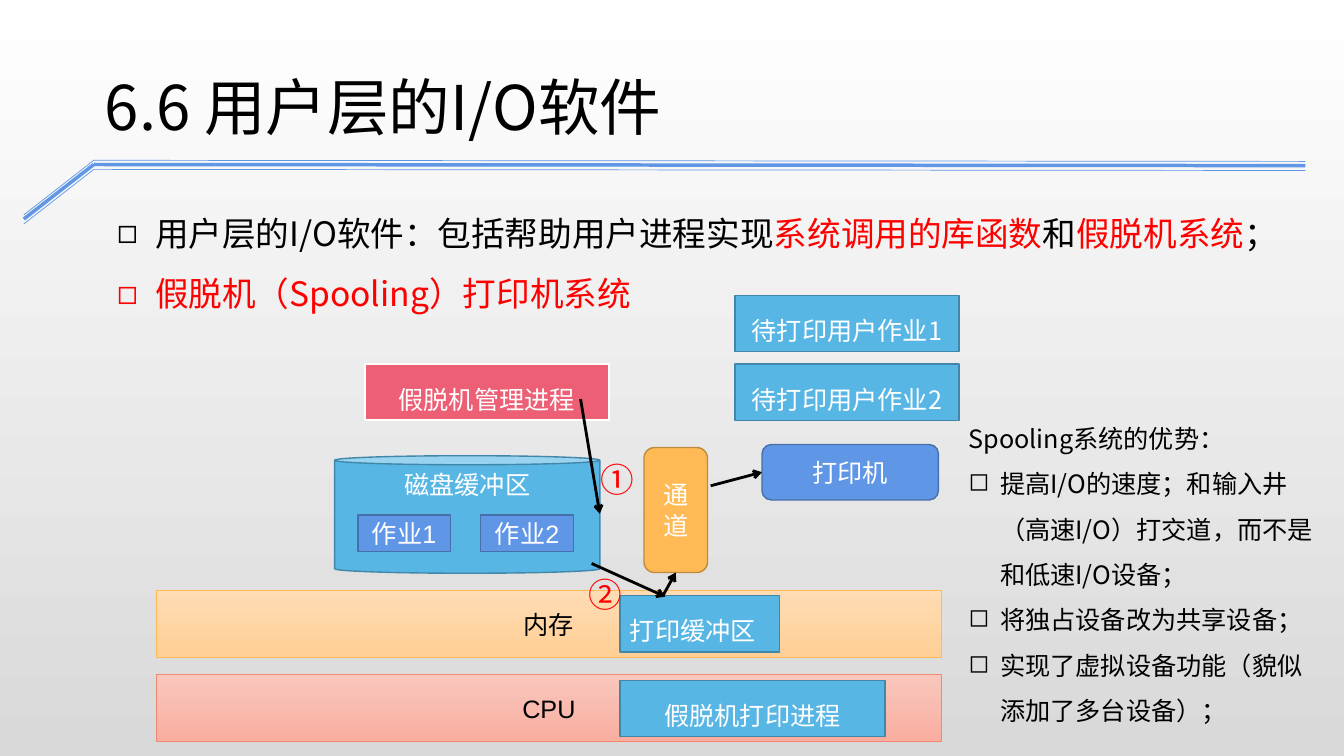
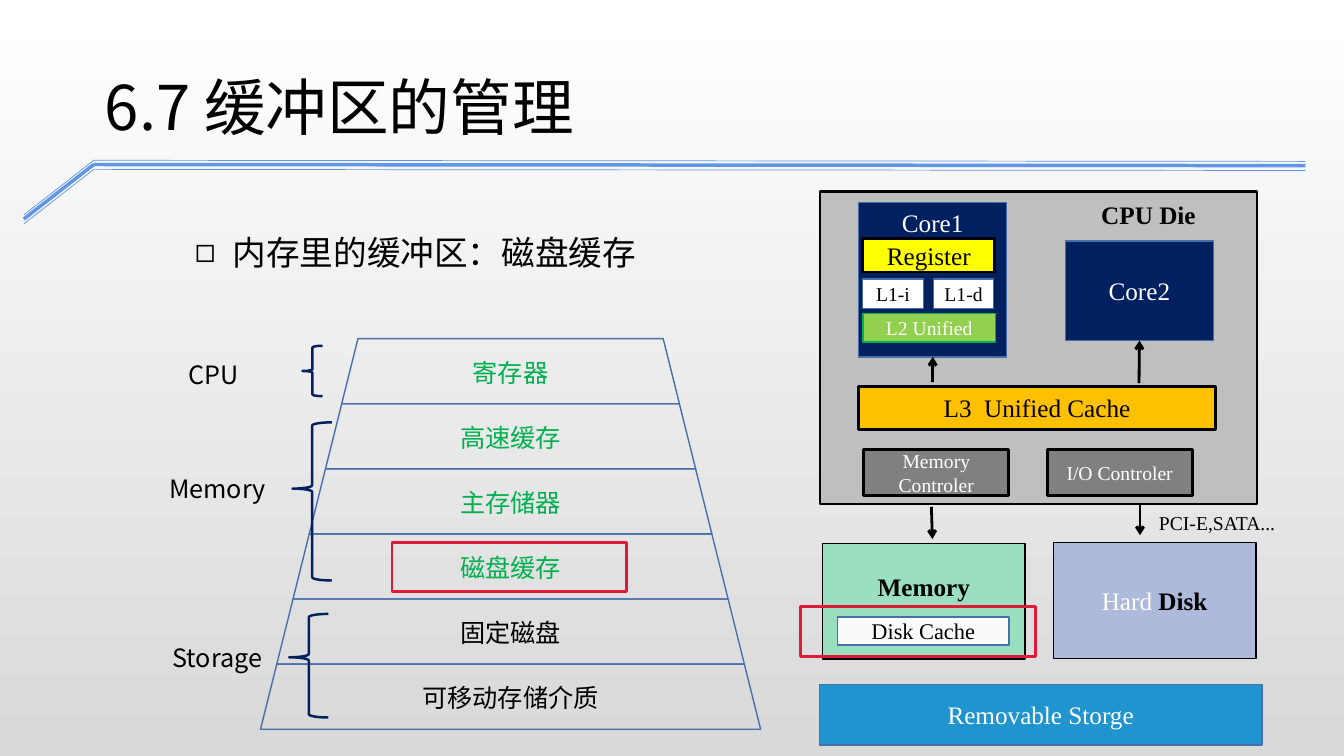
"""Build two slides on user-level I/O software and buffer management."""
from lxml.etree import SubElement
from pptx import Presentation
from pptx.dml.color import RGBColor
from pptx.enum.shapes import MSO_CONNECTOR, MSO_SHAPE
from pptx.enum.text import MSO_ANCHOR, MSO_AUTO_SIZE, PP_ALIGN
from pptx.oxml.ns import qn
from pptx.util import Pt

JP, SC, ARIAL, TIMES = "Noto Sans CJK JP", "Noto Sans CJK SC", "Arial", "Times New Roman"
BLACK, WHITE, RED, GREEN = "000000", "FFFFFF", "FF0000", "00B050"
BLUE, EDGE, NAVY, CRIMSON = "6096E6", "476FAA", "002060", "DE1A37"
RECT, ROUND = MSO_SHAPE.RECTANGLE, MSO_SHAPE.ROUNDED_RECTANGLE
TOP, MIDDLE = MSO_ANCHOR.TOP, MSO_ANCHOR.MIDDLE
LEFT, CENTER = PP_ALIGN.LEFT, PP_ALIGN.CENTER

BASE = {"shape": RECT, "fill": None, "line": EDGE, "weight": 1, "anchor": MIDDLE,
        "align": CENTER, "spacing": 1, "font": {"name": ARIAL, "size": 18, "color": WHITE}}
STYLES = {
    "sky": {"fill": "58B6E5", "line": "4187A9", "anchor": TOP, "spacing": 1.5,
            "font": {"name": SC}},
    "blue": {"fill": BLUE},
    "bar": {"weight": 0.5, "font": {"color": BLACK}},
    "mark": {"shape": None, "anchor": TOP, "align": LEFT, "spacing": 1.5,
             "font": {"name": JP, "size": 24, "color": RED}},
    "label": {"shape": None, "anchor": TOP, "align": LEFT, "font": {"name": JP, "color": BLACK}},
    "layer": {"shape": MSO_SHAPE.TRAPEZOID, "font": {"name": JP, "color": GREEN}},
    "brace": {"shape": MSO_SHAPE.LEFT_BRACE, "line": NAVY, "weight": 1.75},
    "chip": {"font": {"name": TIMES}},
    "small": {"font": {"name": TIMES, "size": 14}},
    "frame": {"line": CRIMSON, "weight": 2},
}

BAND_LINES = [(0, 0.5), (3, 2.5), (6.5, 0.5)]
BAND_POINTS = [(17, 153.5), (67, 114.5), (932.5, 115.3)]
TITLE_BOX = (67.7, 45.4, 685.4, 60.5)

ADVANTAGES = [
    "提高I/O的速度；和输入井（高速I/O）打交道，而不是和低速I/O设备；",
    "将独占设备改为共享设备；",
    "实现了虚拟设备功能（貌似添加了多台设备）；",
]
LAYERS = ["寄存器", "高速缓存", "主存储器", "磁盘缓存", "固定磁盘", "可移动存储介质"]
INK = {"name": TIMES, "color": BLACK}
BOLD = {**INK, "bold": True}
INK_SMALL = {**INK, "size": 14}

SPOOLING = {
    "title": "6.6 用户层的I/O软件",
    "body_box": (76.5, 134, 872, 193),
    "body": [
        [("用户层的I/O软件：包括帮助用户进程实现", BLACK), ("系统调用的库函数", RED),
         ("和", BLACK), ("假脱机系统", RED), ("；", BLACK)],
        [("假脱机（Spooling）打印机系统", RED)],
    ],
    "boxes": [
        ("sky", "磁盘缓冲区", (239, 325.5, 189.5, 84),
         {"shape": MSO_SHAPE.CAN, "adjust": [0.077], "spacing": 1, "font": {"name": ARIAL}}),
        ("blue", "通道", (460, 319.7, 45.4, 89.3),
         {"shape": ROUND, "fill": "FFBA55", "line": "BD8A3F"}),
        ("bar", "内存", (111.6, 422, 561, 47.5),
         {"fill": ("FFDCB4", "FFCF95"), "line": "FFBA55"}),
        ("sky", "打印缓冲区", (442.8, 425.5, 113.8, 40.3), {"align": LEFT}),
        ("bar", "CPU", (111.6, 482, 561, 47.5),
         {"fill": ("F9C7BD", "F9AEA0"), "line": "F18870"}),
        ("sky", "假脱机打印进程", (442.8, 486, 189.4, 40.3), {}),
        ("sky", "假脱机管理进程", (260.6, 260, 174.2, 40.3),
         {"fill": "EC5F74", "line": WHITE, "weight": 1.5}),
        ("sky", "待打印用户作业1", (525, 211, 160, 40.3), {}),
        ("sky", "待打印用户作业2", (525, 260, 160, 40.3), {}),
        ("blue", "作业1", (255.6, 368, 66.2, 26), {}),
        ("blue", "作业2", (343.4, 368, 66.2, 26), {}),
        ("blue", "打印机", (544.3, 317.5, 126, 39.6), {"shape": ROUND}),
        ("mark", "①", (422, 309.6, 85.7, 30), {}),
        ("mark", "②", (413, 391.7, 50, 51), {}),
    ],
    "arrows": [
        (422.6, 402.5, 475.2, 426.2, None),
        (414.7, 285, 428.4, 367, None),
        (473.8, 425, 482.7, 409, ("通道", 2)),
        (507.6, 347, 544.3, 337.3, ("打印机", 1)),
    ],
}

BUFFERS = {
    "title": "6.7 缓冲区的管理",
    "body_box": (132, 147.5, 824, 193),
    "body": [[("内存里的缓冲区：磁盘缓存", BLACK)]],
    "boxes": [
        *[("layer", text, (244.1 - 11.6 * i, 241.9 + 46.5 * i, 241.2 + 23.2 * i, 46.5),
           {"font": {"color": GREEN if i < 4 else BLACK}}) for i, text in enumerate(LAYERS)],
        ("brace", "", (216, 247, 14.4, 36), {}),
        ("brace", "", (209, 301.7, 28, 113), {"adjust": [0.083, 0.419]}),
        ("brace", "", (206.6, 438.5, 28, 74), {"adjust": [0.083, 0.419]}),
        ("label", "CPU", (127.4, 253.4, 85, 28.8), {}),
        ("label", "Memory", (113.8, 334.8, 85, 28.8), {}),
        ("label", "Storage", (116, 455, 85, 28.8), {}),
        ("chip", "", (586, 136.8, 311.8, 223.2),
         {"fill": "BFBFBF", "line": BLACK, "weight": 1.5}),
        ("chip", "Core1", (613.4, 144.7, 105.8, 110.2), {"fill": NAVY, "anchor": TOP}),
        ("chip", "Core2", (761, 172, 105.8, 71.3), {"fill": NAVY}),
        ("label", "CPU Die", (748, 139, 144.7, 28.8), {"align": CENTER, "font": BOLD}),
        ("chip", "L3  Unified Cache", (613.4, 275.8, 254.9, 31),
         {"fill": "FFC000", "line": BLACK, "weight": 2, "font": INK}),
        ("small", "L1-i", (616.3, 199.4, 43.2, 20.9), {"fill": WHITE, "font": INK}),
        ("small", "L1-d", (666.7, 199.4, 43.2, 20.9), {"fill": WHITE, "font": INK}),
        ("small", "L2 Unified", (616.3, 224, 95, 20.2), {"fill": "92D050", "line": GREEN}),
        ("chip", "Register", (616.3, 170.6, 94.3, 23.8),
         {"fill": "FFFF00", "line": BLACK, "weight": 2, "font": INK}),
        *[("small", text, (x, 321, 103.7, 33), {"fill": "808080", "line": BLACK, "weight": 2.25})
          for text, x in (("Memory Controler", 617), ("I/O Controler", 748))],
        ("chip", "Memory", (587.5, 388, 144.7, 82.8),
         {"fill": "9ADFBF", "line": BLACK, "bottom": 24, "font": BOLD}),
        ("chip", "Disk Cache", (598.3, 440.6, 122.4, 20.2),
         {"fill": "FAFAFA", "font": {**INK, "size": 16}}),
        ("chip", [("Hard ", {}), ("Disk", BOLD)], (752.4, 387.5, 144.7, 82.8),
         {"fill": "AEBADC", "line": BLACK}),
        ("chip", "Removable Storge", (585.4, 489, 316, 43.2), {"fill": "2094CE"}),
        ("label", "PCI-E,SATA...", (820.8, 361.4, 112.3, 24.5), {"font": INK_SMALL}),
        ("frame", "", (280, 387.4, 167.8, 35.3), {}),
        ("frame", "", (571.7, 433.4, 167.8, 35.3), {}),
    ],
    "arrows": [
        (666, 273, 666.3, 254.9, ("Core1", 2)),
        (813.6, 273.6, 813.9, 243.3, ("Core2", 2)),
        (665.3, 362, 666, 385, None),
        (814.3, 359.3, 814.3, 382.3, None),
    ],
}


def rgb(value):
    return RGBColor.from_string(value)


def points(values):
    return [Pt(v) for v in values]


def place(sp, box):
    for name, value in zip(("left", "top", "width", "height"), points(box)):
        setattr(sp, name, value)


def paint(fill, color):
    if color is None:
        fill.background()
    elif isinstance(color, str):
        fill.solid()
        fill.fore_color.rgb = rgb(color)
    else:
        fill.gradient()
        fill.gradient_angle = 270
        for stop, value in zip(fill.gradient_stops, color):
            stop.color.rgb = rgb(value)


def write(p, runs, font, **fmt):
    for name, value in {"alignment": LEFT, "space_before": Pt(0), **fmt}.items():
        setattr(p, name, value)
    for text, extra in [(runs, {})] if isinstance(runs, str) else runs:
        look = {**font, **extra}
        r = p.add_run()
        r.text = text
        r.font.color.rgb = rgb(look["color"])
        for name, value in (("size", Pt(look["size"])), ("name", look["name"]),
                            ("bold", look.get("bold", False))):
            setattr(r.font, name, value)
        east = SC if look["name"] in (ARIAL, TIMES) else look["name"]
        SubElement(r._r.get_or_add_rPr(), qn("a:ea"), typeface=east)


def bullet(p, indent):
    pPr = p._p.get_or_add_pPr()
    pPr.set("marL", str(Pt(indent)))
    pPr.set("indent", str(-Pt(indent)))
    SubElement(pPr, qn("a:buChar"), char="◻")


def add_line(s, ends, color, weight, arrow=False):
    c = s.shapes.add_connector(MSO_CONNECTOR.STRAIGHT, *points(ends))
    c.line.color.rgb = rgb(color)
    c.line.width = Pt(weight)
    if arrow:
        SubElement(c.line._get_or_add_ln(), qn("a:tailEnd"), type="arrow")
    SubElement(c.element.spPr, qn("a:effectLst"))
    return c


def add_box(s, style, text, box, extra):
    fmt = {**BASE, **STYLES[style], **extra}
    font = {**BASE["font"], **STYLES[style].get("font", {}), **extra.get("font", {})}
    if fmt["shape"] is None:
        sp = s.shapes.add_textbox(*points(box))
    else:
        sp = s.shapes.add_shape(fmt["shape"], *points(box))
        sp.shadow.inherit = False
        paint(sp.fill, fmt["fill"])
        paint(sp.line.fill, fmt["line"])
        sp.line.width = Pt(fmt["weight"])
        for i, value in enumerate(fmt.get("adjust", [])):
            sp.adjustments[i] = value
    tf = sp.text_frame
    tf.word_wrap = True
    tf.vertical_anchor = fmt["anchor"]
    tf.margin_bottom = Pt(fmt.get("bottom", 3.6))
    if text:
        write(tf.paragraphs[0], text, font, alignment=fmt["align"], line_spacing=fmt["spacing"])
    return sp


def fill_placeholder(sp, anchor):
    tf = sp.text_frame
    tf.auto_size = MSO_AUTO_SIZE.NONE
    tf.vertical_anchor = anchor
    return tf


def add_slide(prs, layout, data):
    s = prs.slides.add_slide(layout)
    tf = fill_placeholder(s.shapes.title, MIDDLE)
    write(tf.paragraphs[0], data["title"], {"name": JP, "size": 44, "color": BLACK})
    body = s.placeholders[1]
    place(body, data["body_box"])
    tf = fill_placeholder(body, TOP)
    for i, runs in enumerate(data["body"]):
        p = tf.add_paragraph() if i else tf.paragraphs[0]
        bullet(p, 27)
        write(p, [(text, {"color": color}) for text, color in runs],
              {"name": JP, "size": 24}, line_spacing=1.5)
    made = {}
    for item in data["boxes"]:
        sp = add_box(s, *item)
        made[sp.text_frame.text] = sp
    for *ends, target in data["arrows"]:
        c = add_line(s, ends, BLACK, 2, arrow=True)
        if target:
            c.end_connect(made[target[0]], target[1])
    return s


def add_advantages(s):
    font = {"name": JP, "size": 18, "color": BLACK}
    sp = add_box(s, "label", "Spooling系统的优势：", (684.7, 288, 267.8, 136), {"spacing": 1.5})
    for text in ADVANTAGES:
        p = sp.text_frame.add_paragraph()
        bullet(p, 22.5)
        write(p, text, font, line_spacing=1.5)


def add_band(s, layout):
    for dy, weight in BAND_LINES:
        for (x1, y1), (x2, y2) in zip(BAND_POINTS, BAND_POINTS[1:]):
            c = add_line(s, (x1, y1 + dy, x2, y2 + dy), BLUE, weight)
            layout.shapes.element.append(c.element)


def main():
    prs = Presentation()
    prs.slide_width, prs.slide_height = Pt(960), Pt(540)
    layout = prs.slide_layouts[1]
    paint(layout.background.fill, (WHITE, "D9D9D9"))
    place(layout.placeholders[0], TITLE_BOX)
    s = add_slide(prs, layout, SPOOLING)
    add_band(s, layout)
    add_advantages(s)
    add_slide(prs, layout, BUFFERS)
    prs.save("out.pptx")


if __name__ == "__main__":
    main()
